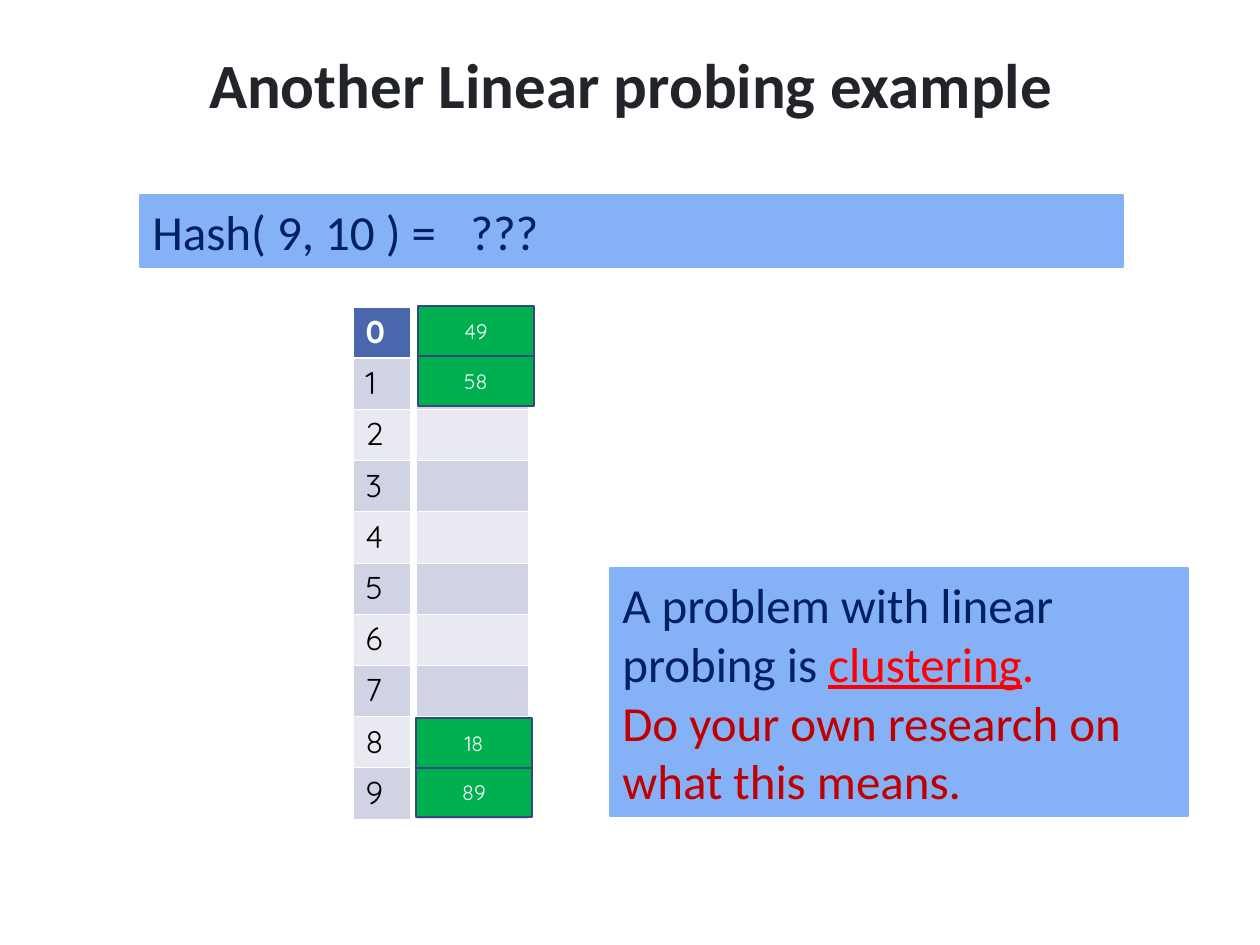
from pptx import Presentation
from pptx.dml.color import RGBColor
from pptx.enum.shapes import MSO_SHAPE
from pptx.enum.text import MSO_ANCHOR, MSO_AUTO_SIZE, PP_ALIGN
from pptx.oxml.ns import qn
from pptx.util import Emu, Pt
from lxml import etree

RECTANGLE = MSO_SHAPE.RECTANGLE
TOP, MIDDLE = MSO_ANCHOR.TOP, MSO_ANCHOR.MIDDLE
NO_FIT, GROW = MSO_AUTO_SIZE.NONE, MSO_AUTO_SIZE.SHAPE_TO_FIT_TEXT
LEFT, CENTER = PP_ALIGN.LEFT, PP_ALIGN.CENTER

PX_PER_INCH = 126
COLORS = {
    "title": "212529", "panel": "85B2F6", "navy": "002060", "red": "FF0000",
    "dark_red": "C00000", "filled": "00B050", "outline": "34497D",
    "header": "4A66AC", "odd": "D0D3E3", "even": "E9EAF1",
    "white": "FFFFFF", "black": "000000",
}
SLOTS = 10
TABLE_TOP, TABLE_HEIGHT = 307, 512


def px(length):
    """Turn pixels into EMU."""
    return Emu(round(length * 914400 / PX_PER_INCH))


def rgb(name):
    """Look up a named colour."""
    return RGBColor.from_string(COLORS[name])


def add_span(para, text, size, color, font="Calibri", bold=False, underline=False):
    """Append one formatted run to a paragraph."""
    span = para.add_run()
    span.text = text
    span.font.name = font
    span.font.size = Pt(size)
    span.font.bold = bold
    span.font.underline = underline
    span.font.color.rgb = rgb(color)


def add_tab(para, position):
    """Give a paragraph one left tab stop."""
    stops = etree.SubElement(para._p.get_or_add_pPr(), qn("a:tabLst"))
    etree.SubElement(stops, qn("a:tab"), pos=str(px(position)), algn="l")


def set_title(page, text):
    """Place and format the slide title."""
    title = page.shapes.title
    title.left, title.top, title.width, title.height = map(px, (64, 35, 1134, 120))
    frame = title.text_frame
    frame.auto_size = NO_FIT
    frame.vertical_anchor = TOP
    frame.margin_top = px(10)
    para = frame.paragraphs[0]
    para.alignment = CENTER
    add_span(para, text, 36, "title", bold=True)


def add_box(page, bounds, fill, line, line_width, alignment):
    """Add a filled rectangle and return its text frame."""
    box = page.shapes.add_shape(RECTANGLE, *map(px, bounds))
    box.shadow.inherit = False
    box.fill.solid()
    box.fill.fore_color.rgb = rgb(fill)
    box.line.color.rgb = rgb(line)
    box.line.width = Pt(line_width)
    frame = box.text_frame
    frame.word_wrap = True
    frame.vertical_anchor = MIDDLE
    frame.paragraphs[0].alignment = alignment
    return frame


def add_panel(page, bounds):
    """Add a light blue text panel and return its text frame."""
    frame = add_box(page, bounds, "panel", "panel", 0.75, LEFT)
    frame.auto_size = GROW
    return frame


def add_entry(page, left, top, key):
    """Add a green box for a key stored in the hash table."""
    frame = add_box(page, (left, top, 116, 50), "filled", "outline", 1.25, CENTER)
    add_span(frame.paragraphs[0], key, 12, "white", "Quicksand")


def set_borders(cell, widths):
    """Draw white cell borders from widths in points by side."""
    properties = cell._tc.get_or_add_tcPr()
    for index, (side, width) in enumerate(widths.items()):
        line = etree.Element(qn(f"a:ln{side}"), w=str(Pt(width)))
        fill = etree.SubElement(line, qn("a:solidFill"))
        etree.SubElement(fill, qn("a:srgbClr"), val=COLORS["white"])
        properties.insert(index, line)


def add_column(page, left, width, labels):
    """Add a one-column table with a header colour and banded rows."""
    bounds = map(px, (left, TABLE_TOP, width, TABLE_HEIGHT))
    table = page.shapes.add_table(SLOTS, 1, *bounds).table
    for index, label in enumerate(labels):
        table.rows[index].height = px(TABLE_HEIGHT / SLOTS)
        cell = table.cell(index, 0)
        is_header = index == 0
        band = "odd" if index % 2 else "even"
        cell.fill.solid()
        cell.fill.fore_color.rgb = rgb("header" if is_header else band)
        cell.margin_top = cell.margin_bottom = px(5)
        set_borders(cell, {
            "L": 0.45, "R": 0.45,
            "T": 1.47 if index == 1 else 0.45,
            "B": 1.47 if is_header else 0.45,
        })
        if label:
            color = "white" if is_header else "black"
            para = cell.text_frame.paragraphs[0]
            add_span(para, label, 18, color, "Quicksand", bold=is_header)


def main():
    """Build the linear probing slide."""
    deck = Presentation()
    deck.slide_width, deck.slide_height = px(1260), px(945)
    page = deck.slides.add_slide(deck.slide_layouts[5])
    set_title(page, "Another Linear probing example")

    question = add_panel(page, (140, 195, 983, 72)).paragraphs[0]
    add_tab(question, 318)
    add_span(question, "Hash( 9, 10 ) =\t???", 28, "navy")

    add_column(page, 416, 112, [""] * SLOTS)
    add_column(page, 353, 57, [str(slot) for slot in range(SLOTS)])
    for left, top, key in ((416, 767, "89"), (416, 718, "18"),
                           (418, 306, "49"), (418, 356, "58")):
        add_entry(page, left, top, key)

    note = add_panel(page, (610, 568, 578, 248))
    problem = note.paragraphs[0]
    add_span(problem, "A problem with linear probing is ", 28, "navy")
    add_span(problem, "clustering", 28, "red", underline=True)
    add_span(problem, ".", 28, "red")
    task = note.add_paragraph()
    task.alignment = LEFT
    add_span(task, "Do your own research on what this means.", 28, "dark_red")

    deck.save("out.pptx")


if __name__ == "__main__":
    main()
